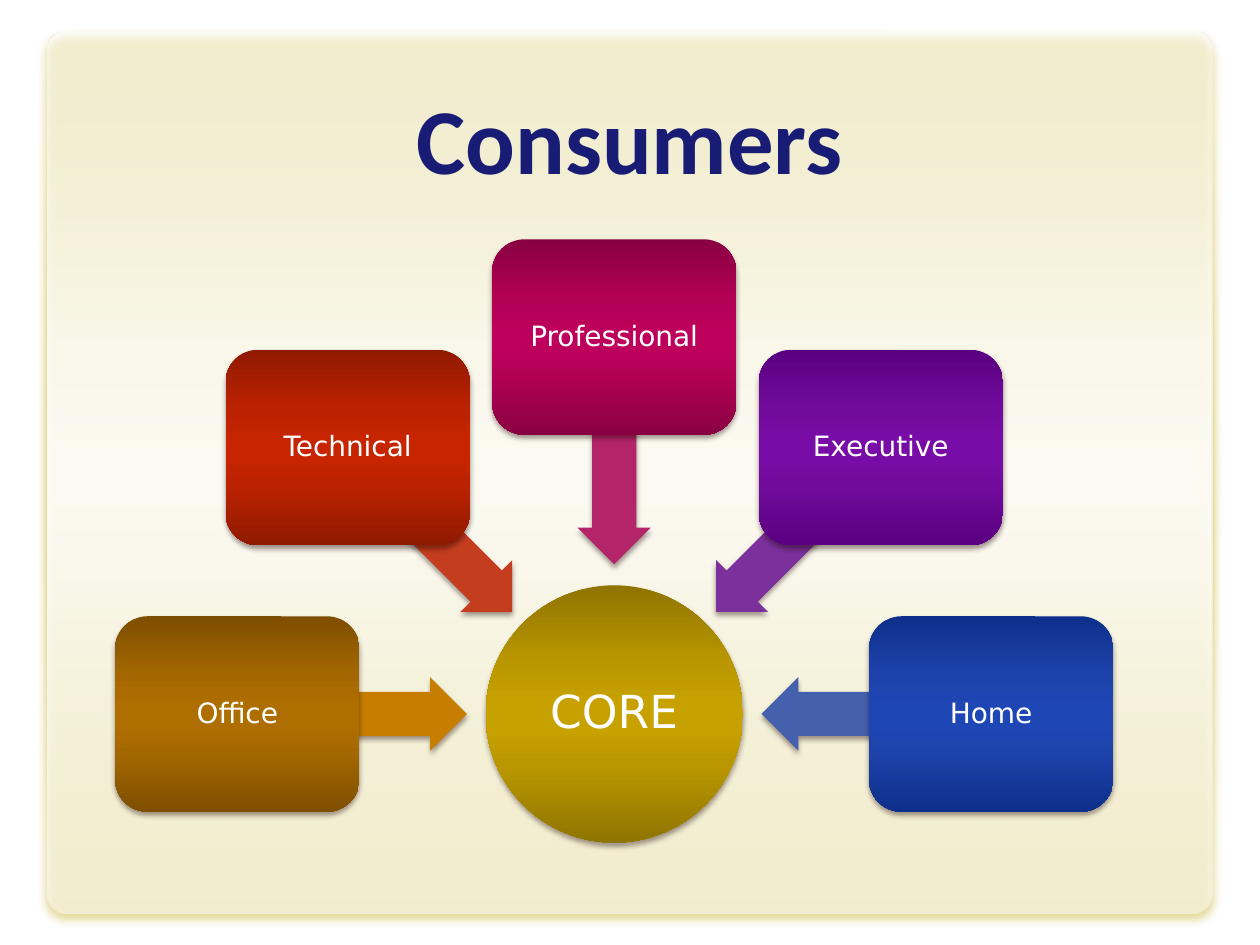
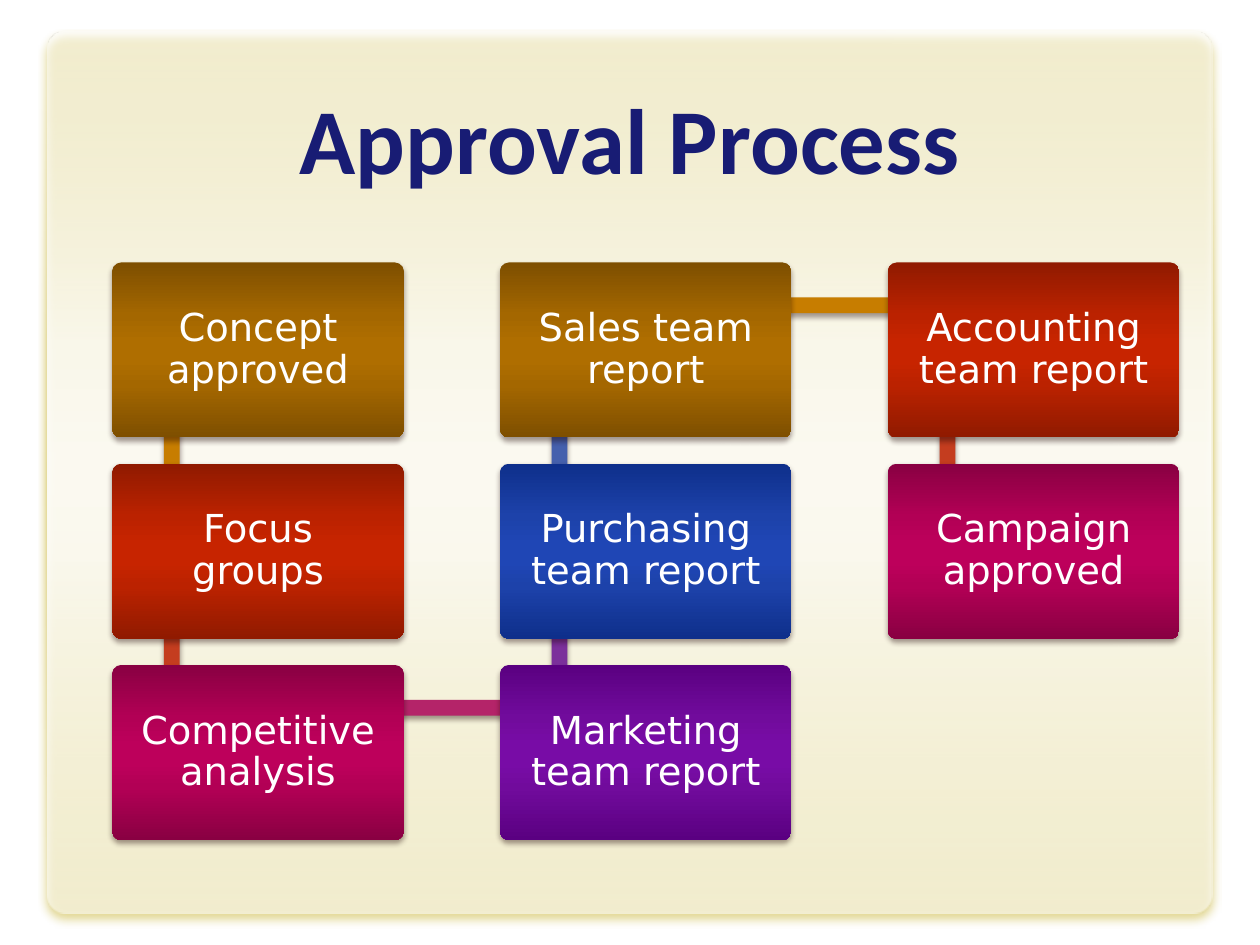
"""Build a radial consumer diagram and a snaking approval process."""
import itertools
import math

import pptx
import pptx.dml.color
import pptx.enum.shapes
import pptx.enum.text
import pptx.oxml.ns
import pptx.util
from lxml import etree

Pt = pptx.util.Pt
SHAPE = pptx.enum.shapes.MSO_SHAPE
ANCHOR = pptx.enum.text.MSO_ANCHOR
ALIGN = pptx.enum.text.PP_ALIGN
qn = pptx.oxml.ns.qn

GOLD = ("8F7400", "BA9700", "C6A100")
PALETTE = [
    (("7E4F00", "A46700", "AF6E00"), "C77D00"),
    (("901A00", "BB2200", "C72400"), "C43D1F"),
    (("890042", "B20055", "BD005B"), "B42469"),
    (("5A0081", "710B9C", "780CA6"), "7B309B"),
    (("0E2F8B", "1D42AA", "1F46B5"), "4560AD"),
]
PANEL_STOPS = [(0, "FFFFFF", 50), (35, "FFFFFF", 87), (50, "FFFFFF", 92),
               (60, "FFFFFF", 89), (100, "FFFFFF", 55)]
PANEL_SHADOW = ("C5AF25", 90, 5, 3.6)
SOFT_SHADOW = ("1A0000", 40, 3.1, 2)


def rgb(value):
    return pptx.dml.color.RGBColor.from_string(value)


def add_color(parent, value, opacity):
    color = etree.SubElement(parent, qn("a:srgbClr"), val=value)
    if opacity < 100:
        etree.SubElement(color, qn("a:alpha"), val=str(opacity * 1000))


def glossy(shades):
    dark, mid, bright = shades
    return [(0, dark, 100), (30, mid, 100), (46, bright, 100),
            (56, bright, 100), (70, mid, 100), (100, dark, 100)]


class Deck:
    def __init__(self):
        self.prs = pptx.Presentation()
        self.prs.slide_width, self.prs.slide_height = Pt(720), Pt(540)
        self.slide = None

    def new_slide(self, title):
        self.slide = self.prs.slides.add_slide(self.prs.slide_layouts[6])
        self.shape(SHAPE.ROUNDED_RECTANGLE, 27, 18, 666, 504, PANEL_STOPS,
                   adj=[0.022], shadow=PANEL_SHADOW)
        sp = self.slide.shapes.add_textbox(Pt(36), Pt(24), Pt(648), Pt(90))
        self.text(sp, title, 53, "Calibri", "181C74", ANCHOR.BOTTOM, bold=True)

    def text(self, sp, text, size, font, color, anchor, bold=False):
        tf = sp.text_frame
        tf.word_wrap = True
        tf.vertical_anchor = anchor
        p = tf.paragraphs[0]
        p.text = text
        p.alignment = ALIGN.CENTER
        r = p.runs[0]
        r.font.size, r.font.name, r.font.bold = Pt(size), font, bold
        r.font.color.rgb = rgb(color)

    def shape(self, kind, x, y, w, h, fill, adj=(), shadow=SOFT_SHADOW):
        sp = self.slide.shapes.add_shape(kind, Pt(x), Pt(y), Pt(w), Pt(h))
        for i, value in enumerate(adj):
            sp.adjustments[i] = value
        if isinstance(fill, str):
            sp.fill.solid()
            sp.fill.fore_color.rgb = rgb(fill)
        else:
            self.gradient(sp, fill)
        sp.line.fill.background()
        self.shadow(sp, *shadow)
        return sp

    def gradient(self, sp, stops):
        sp.fill.gradient()
        sp.fill.gradient_angle = 270
        stop_list = next(sp.element.spPr.iter(qn("a:gsLst")))
        for old in list(stop_list):
            stop_list.remove(old)
        for pos, color, opacity in stops:
            stop = etree.SubElement(stop_list, qn("a:gs"), pos=str(pos * 1000))
            add_color(stop, color, opacity)

    def shadow(self, sp, color, opacity, blur, dist):
        sp.shadow.inherit = False
        effects = sp.element.spPr.find(qn("a:effectLst"))
        outer = etree.SubElement(effects, qn("a:outerShdw"), blurRad=str(Pt(blur)),
                                 dist=str(Pt(dist)), dir="5400000", rotWithShape="0")
        add_color(outer, color, opacity)

    def node(self, kind, x, y, w, h, shades, text, size, inset, adj=()):
        sp = self.shape(kind, x, y, w, h, glossy(shades), adj)
        self.text(sp, text, size, "DejaVu Sans", "FFFFFF", ANCHOR.MIDDLE)
        tf = sp.text_frame
        tf.margin_left = tf.margin_right = Pt(inset)
        tf.margin_top = tf.margin_bottom = Pt(inset)
        tf.paragraphs[0].line_spacing = 0.9

    def arrow(self, cx, cy, length, angle, color):
        h = 42
        sp = self.shape(SHAPE.LEFT_ARROW, cx - length / 2, cy - h / 2, length, h,
                        color, adj=[0.6, 0.5])
        sp.rotation = angle

    def bar(self, start, end, color, thick=9):
        (x1, y1), (x2, y2) = start, end
        if x1 == x2:
            box = (x1 - thick / 2, min(y1, y2), thick, abs(y2 - y1))
        else:
            box = (min(x1, x2), y1 - thick / 2, abs(x2 - x1), thick)
        self.shape(SHAPE.RECTANGLE, *box, color)


def consumers(deck):
    deck.new_slide("Consumers")
    cx, cy, core, radius = 351, 408, 147, 215.4
    node_w, node_h = 139.6, 111.7
    deck.node(SHAPE.OVAL, cx - core / 2, cy - core / 2, core, core, GOLD,
              "CORE", 26, 14.4)
    side, diagonal, top = (93.6, 131), (82, 123.4), (112.3, 141.7)
    names = ["Office", "Technical", "Professional", "Executive", "Home"]
    arrows = [side, diagonal, top, diagonal, side]
    for i, (name, (length, dist), (shades, flat)) in enumerate(zip(names, arrows, PALETTE)):
        angle = 180 + 45 * i
        dx, dy = math.cos(math.radians(angle)), math.sin(math.radians(angle))
        deck.arrow(cx + dist * dx, cy + dist * dy, length, angle % 360, flat)
        deck.node(SHAPE.ROUNDED_RECTANGLE, cx + radius * dx - node_w / 2,
                  cy + radius * dy - node_h / 2, node_w, node_h, shades, name, 16, 8.6)


def approval_process(deck):
    deck.new_slide("Approval Process")
    steps = ["Concept approved", "Focus groups", "Competitive analysis",
             "Marketing team report", "Purchasing team report", "Sales team report",
             "Accounting team report", "Campaign approved"]
    rows = 3
    corners = []
    for i in range(len(steps)):
        col, k = divmod(i, rows)
        row = rows - 1 - k if col % 2 else k
        corners.append((64.2 + 221.6 * col, 150 + 115 * row))
    joints = [(x + 34, y + 24.5) for x, y in corners]
    for i, (step, (x, y), (shades, flat)) in enumerate(
            zip(steps, corners, itertools.cycle(PALETTE))):
        if i + 1 < len(steps):
            deck.bar(joints[i], joints[i + 1], flat)
        deck.node(SHAPE.ROUNDED_RECTANGLE, x, y, 166.5, 100, shades, step, 22, 12,
                  adj=[0.05])


deck = Deck()
consumers(deck)
approval_process(deck)
deck.prs.save("out.pptx")
